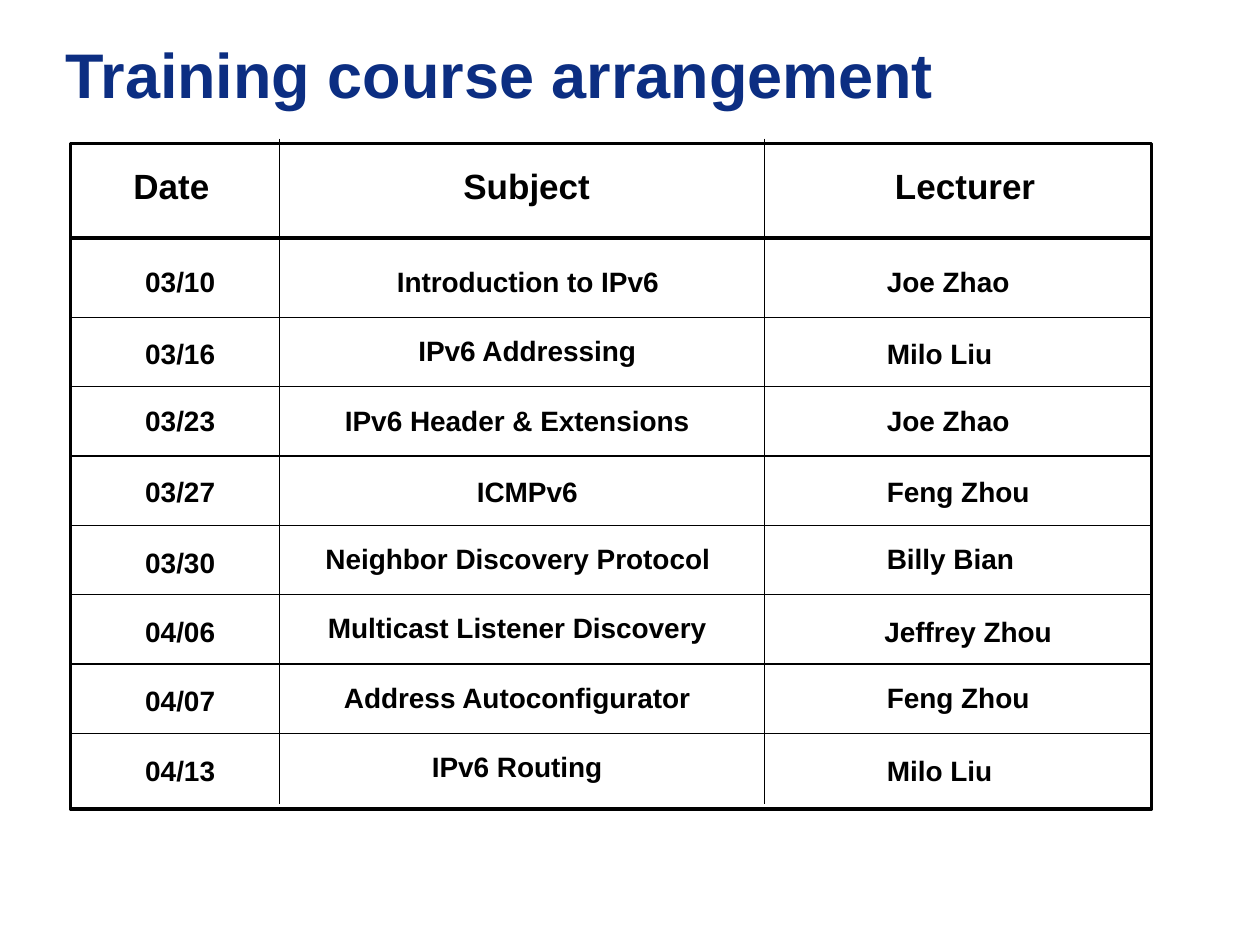
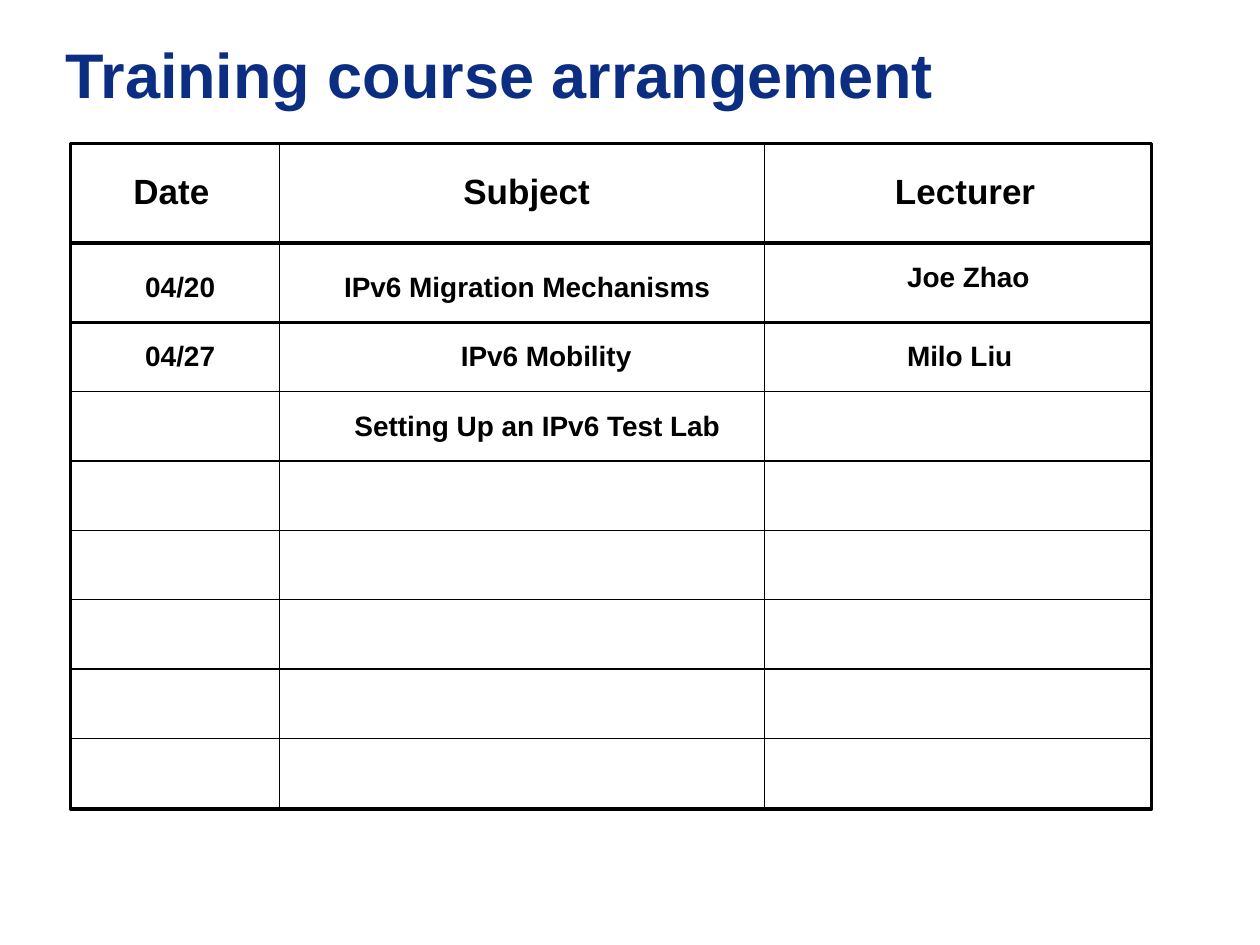
from dataclasses import dataclass

from lxml import etree
from pptx import Presentation
from pptx.dml.color import RGBColor
from pptx.enum import shapes, text
from pptx.oxml.ns import qn
from pptx.util import Inches, Pt

# Shared style
FONT = "Arial"
BLACK = "000000"
TITLE_BLUE = "0C2E82"
THICK, THIN = 2, 0.75
CENTER, LEFT = text.PP_ALIGN.CENTER, text.PP_ALIGN.LEFT

# Timetable grid
GRID_LEFT, GRID_TOP, GRID_WIDTH, GRID_HEIGHT = 0.56, 1.14, 8.58, 5.28
COLUMN_RULES = (2.22, 6.07)
COLUMN_RULE_TOP = 1.1
HEADER_RULE = 1.89
HEADER_TEXT_TOP = 1.26
FIRST_RULE = 2.52
FIRST_TEXT_TOP = 2.05
ROW_STEP = 0.55
RULE_COUNT = 7
HEADERS = {"Date": 0.5, "Subject": 3.32, "Lecturer": 6.8}


@dataclass(frozen=True)
class Entry:
    text: str
    left: float
    width: float
    drop: float = 0
    align: text.PP_ALIGN = CENTER


@dataclass(frozen=True)
class Timetable:
    rows: list[list[Entry]]
    shift: float = 0
    first_rule_weight: float = THIN


def date(label: str, drop: float = 0) -> Entry:
    return Entry(label, 0.96, 0.94, drop)


def subject(label: str, left: float = 2.37, width: float = 3.47,
            drop: float = 0) -> Entry:
    return Entry(label, left, width, drop)


def lecturer(label: str, left: float = 6.94, width: float = 1.18,
             drop: float = 0) -> Entry:
    return Entry(label, left, width, drop, LEFT)


TIMETABLES = [
    Timetable([
        [date("03/10"), subject("Introduction to IPv6", 2.22, 3.94),
         lecturer("Joe Zhao")],
        [date("03/16", 0.02), subject("IPv6 Addressing", 2.45),
         lecturer("Milo Liu", drop=0.02)],
        [date("03/23"), subject("IPv6 Header & Extensions"),
         lecturer("Joe Zhao")],
        [date("03/27", 0.02), subject("ICMPv6", 2.45, drop=0.02),
         lecturer("Feng Zhou", width=1.42, drop=0.02)],
        [date("03/30", 0.03), subject("Neighbor Discovery Protocol", 2.22, 3.78),
         lecturer("Billy Bian", width=1.34)],
        [date("04/06", 0.03), subject("Multicast Listener Discovery"),
         lecturer("Jeffrey Zhou", 6.92, 1.65, 0.03)],
        [date("04/07", 0.03), subject("Address Autoconfigurator"),
         lecturer("Feng Zhou", width=1.5)],
        [date("04/13", 0.03), subject("IPv6 Routing"),
         lecturer("Milo Liu", drop=0.03)],
    ]),
    Timetable([
        [date("04/20"), subject("IPv6 Migration Mechanisms", 2.45),
         lecturer("Joe Zhao", 7.1, 1.42, -0.08)],
        [date("04/27"), subject("IPv6 Mobility", 3.46, 1.75),
         lecturer("Milo Liu", 7.1)],
        [subject("Setting Up an IPv6 Test Lab", 2.53)],
    ], shift=0.04, first_rule_weight=THICK),
]


def rgb(value: str) -> RGBColor:
    return RGBColor.from_string(value)


def format_text(tf, size: float, color: str, align) -> None:
    p = tf.paragraphs[0]
    p.alignment = align
    for r in p.runs:
        r.font.name = FONT
        r.font.size = Pt(size)
        r.font.bold = True
        r.font.color.rgb = rgb(color)


def set_line(line, weight: float) -> None:
    line.color.rgb = rgb(BLACK)
    line.width = Pt(weight)


def add_rule(slide, x1: float, y1: float, x2: float, y2: float,
             weight: float) -> None:
    rule = slide.shapes.add_connector(
        shapes.MSO_CONNECTOR.STRAIGHT,
        Inches(x1), Inches(y1), Inches(x2), Inches(y2))
    set_line(rule.line, weight)
    etree.SubElement(rule._element.spPr, qn("a:effectLst"))


def add_entry(slide, entry: Entry, top: float, size: float,
              height: float) -> None:
    sp = slide.shapes.add_textbox(Inches(entry.left), Inches(top + entry.drop),
                                  Inches(entry.width), Inches(height))
    tf = sp.text_frame
    tf.text = entry.text
    tf.word_wrap = True
    tf.auto_size = text.MSO_AUTO_SIZE.SHAPE_TO_FIT_TEXT
    format_text(tf, size, BLACK, entry.align)
    tf.paragraphs[0].space_before = Pt(size * 0.625)


def add_title(slide, title: str) -> None:
    sp = slide.shapes.title
    sp.left, sp.top = Inches(0.42), Inches(0)
    sp.width, sp.height = Inches(8.83), Inches(1.17)
    tf = sp.text_frame
    tf.text = title
    tf.word_wrap = True
    tf.auto_size = text.MSO_AUTO_SIZE.NONE
    tf.vertical_anchor = text.MSO_ANCHOR.MIDDLE
    format_text(tf, 36, TITLE_BLUE, LEFT)


def add_grid(slide, timetable: Timetable) -> None:
    frame = slide.shapes.add_shape(
        shapes.MSO_SHAPE.RECTANGLE, Inches(GRID_LEFT), Inches(GRID_TOP),
        Inches(GRID_WIDTH), Inches(GRID_HEIGHT))
    frame.shadow.inherit = False
    frame.fill.background()
    set_line(frame.line, THICK)

    # Header rule, then one rule under each row but the last
    rules = [(HEADER_RULE, THICK), (FIRST_RULE, timetable.first_rule_weight)]
    rules += [(FIRST_RULE + i * ROW_STEP, THIN) for i in range(1, RULE_COUNT)]
    for y, weight in rules:
        y += timetable.shift
        add_rule(slide, GRID_LEFT, y, GRID_LEFT + GRID_WIDTH, y, weight)

    top = COLUMN_RULE_TOP + timetable.shift
    for x in COLUMN_RULES:
        add_rule(slide, x, top, x, top + GRID_HEIGHT, THIN)


def add_timetable(slide, timetable: Timetable) -> None:
    add_grid(slide, timetable)
    for label, left in HEADERS.items():
        add_entry(slide, Entry(label, left, 1.72),
                  HEADER_TEXT_TOP + timetable.shift, 20, 0.44)
    for i, row in enumerate(timetable.rows):
        top = FIRST_TEXT_TOP + timetable.shift + i * ROW_STEP
        for entry in row:
            add_entry(slide, entry, top, 16, 0.37)


def main() -> None:
    prs = Presentation()
    prs.slide_width, prs.slide_height = Inches(10), Inches(7.5)
    title_only = prs.slide_layouts[5]
    for timetable in TIMETABLES:
        slide = prs.slides.add_slide(title_only)
        add_title(slide, "Training course arrangement")
        add_timetable(slide, timetable)
    prs.save("out.pptx")


if __name__ == "__main__":
    main()
